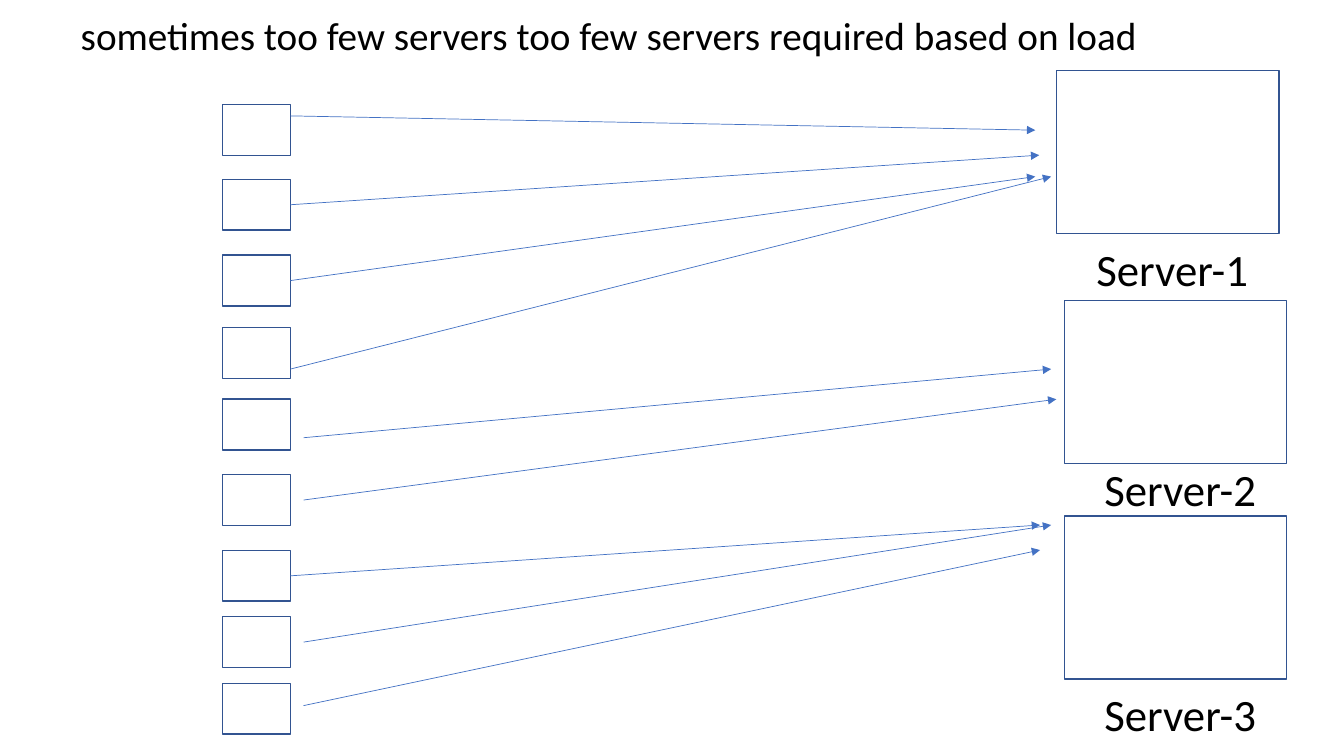
from lxml import etree
from pptx import Presentation
from pptx.dml.color import RGBColor
from pptx.enum.shapes import MSO_CONNECTOR, MSO_SHAPE
from pptx.enum.text import MSO_ANCHOR, MSO_AUTO_SIZE, PP_ALIGN
from pptx.oxml.ns import qn
from pptx.util import Cm, Pt

RECTANGLE = MSO_SHAPE.RECTANGLE
STRAIGHT = MSO_CONNECTOR.STRAIGHT
TOP = MSO_ANCHOR.TOP
LEFT = PP_ALIGN.LEFT
NO_AUTOFIT = MSO_AUTO_SIZE.NONE
RIGHT_SIDE = 3

FONT = "Calibri"
BLACK = "000000"
OUTLINE = "325491"
ARROW = "4472C4"

CLIENT_TOPS = [2.64, 4.52, 6.43, 8.26, 10.06, 11.96, 13.87, 15.54, 17.22]
SERVERS = [
    ("Server-1", 26.62, 1.78, 4.19),
    ("Server-2", 26.82, 7.57, 3.94),
    ("Server-3", 26.82, 13.0, 4.17),
]
# client, server, start gap and drop (None: middle of the side), end gap and drop
REQUESTS = [
    (0, 0, (0, 0.28), (0.53, 1.5)),
    (1, 0, None, (0.43, 2.13)),
    (2, 0, None, (0.53, 2.67)),
    (3, 0, (0, 1.04), (0.13, 2.67)),
    (4, 1, (0.33, 0.97), (0.33, 1.73)),
    (5, 1, (0.33, 0.64), (0.2, 2.49)),
    (6, 2, None, (0.61, 0.23)),
    (7, 2, (0.33, 0.64), (0.33, 0.23)),
    (8, 2, (0.33, 0.56), (0.61, 0.86)),
]


def color(hex_value):
    return RGBColor.from_string(hex_value)


def write(frame, text, size):
    frame.text = text
    frame.word_wrap = True
    frame.auto_size = NO_AUTOFIT
    frame.vertical_anchor = TOP
    paragraph = frame.paragraphs[0]
    paragraph.alignment = LEFT
    for run in paragraph.runs:
        run.font.name = FONT
        run.font.size = Pt(size)
        run.font.color.rgb = color(BLACK)


def add_title(slide, left, top, width, height):
    title = slide.shapes.title
    title.left, title.top = left, top
    title.width, title.height = width, height
    write(title.text_frame, "sometimes too few servers too few servers required based on load", 28)


def add_box(slide, left, top, width, height):
    box = slide.shapes.add_shape(RECTANGLE, left, top, width, height)
    box.shadow.inherit = False
    box.fill.background()
    box.line.color.rgb = color(OUTLINE)
    box.line.width = Pt(1)
    return box


def add_clients(slide, left, width, height):
    return [add_box(slide, left, Cm(top), width, height) for top in CLIENT_TOPS]


def add_server(slide, name, left, top, label_drop):
    server = add_box(slide, left, top, Cm(5.61), Cm(4.11))
    label = slide.shapes.add_textbox(left + Cm(0.76), top + label_drop, Cm(4.83), Cm(1.63))
    write(label.text_frame, name, 32)
    return server


def add_request(slide, client, server, start, end):
    gap, drop = start or (0, 0)
    end_gap, end_drop = end
    request = slide.shapes.add_connector(
        STRAIGHT,
        client.left + client.width + Cm(gap), client.top + Cm(drop),
        server.left - Cm(end_gap), server.top + Cm(end_drop),
    )
    if start is None:
        request.begin_connect(client, RIGHT_SIDE)
    request.line.color.rgb = color(ARROW)
    request.line.width = Pt(0.5)
    etree.SubElement(request.line._get_or_add_ln(), qn("a:tailEnd"), type="triangle")
    etree.SubElement(request._element.spPr, qn("a:effectLst"))


def main():
    presentation = Presentation()
    presentation.slide_width = Cm(33.87)
    presentation.slide_height = Cm(19.05)
    slide = presentation.slides.add_slide(presentation.slide_layouts[5])

    add_title(slide, Cm(1.78), Cm(0.15), Cm(30.33), Cm(1.45))
    clients = add_clients(slide, Cm(5.61), Cm(1.71), Cm(1.28))
    servers = [
        add_server(slide, name, Cm(left), Cm(top), Cm(label_drop))
        for name, left, top, label_drop in SERVERS
    ]
    for client, server, start, end in REQUESTS:
        add_request(slide, clients[client], servers[server], start, end)

    presentation.save("out.pptx")


if __name__ == "__main__":
    main()
